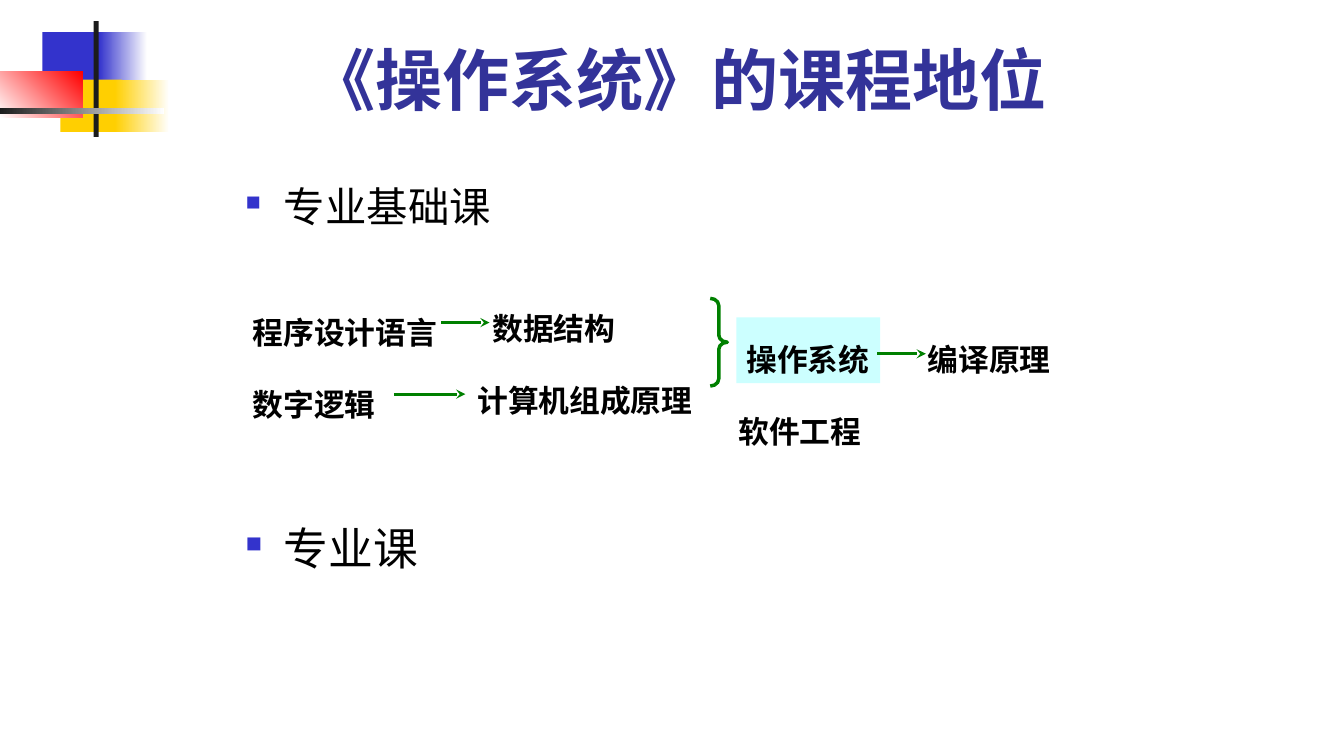
from lxml.etree import SubElement
from pptx import Presentation
from pptx.dml.color import RGBColor
from pptx.enum.shapes import MSO_CONNECTOR as Connector, MSO_SHAPE as Shape
from pptx.enum.text import MSO_ANCHOR as Anchor
from pptx.oxml.ns import qn
from pptx.util import Inches, Pt

FONT = "Roboto"
COLORS = {
    "blue": "3333CC", "title": "333399", "yellow": "FFCF01", "red": "FF0000",
    "white": "FFFFFF", "dark": "1C1C1C", "black": "000000",
    "green": "008000", "highlight": "CCFFFF",
}

# Lengths are percent of the slide: x and width of 13.34 in, y and height of 7.5 in
WIDTH, HEIGHT = 13.34, 7.5
BLOCK = 6.93           # height of the blue and yellow blocks
ROW_GAP = 9.47         # from the upper course row to the lower one
COURSE_HEIGHT = 8.67

# left, top, width, height, colours (two make a gradient), gradient angle
ORNAMENT = [
    (3.15, 4.27, 4.8, BLOCK, ["blue"], 0),
    (7.35, 4.27, 3.6, BLOCK, ["blue", "white"], 0),
    (4.5, 10.53, 4.57, BLOCK, ["yellow"], 0),
    (8.55, 10.53, 4.05, BLOCK, ["yellow", "white"], 0),
    (0, 9.47, 6.15, 6.13, ["white", "red"], 45),
    (6.97, 2.8, 0.37, 15.33, ["dark"], 0),
    (0, 14.27, 12.22, 0.8, ["dark", "white"], 0),
]
TITLE = "《操作系统》的课程地位"
TITLE_BOX = (22.19, 2.8, 63.87, 13.6)

# text, top, size, line spacing
HEADINGS = [("专业基础课", 20.67, 29.6, 1.4), ("专业课", 64.67, 32, 1.5)]

# text, left, top of the upper row, row, width
COURSES = [
    ("程序设计语言", 18.07, 38.4, 0, 16.72),
    ("数据结构", 35.91, 37.87, 0, 10.64),
    ("数字逻辑", 18.07, 38.4, 1, 11.99),
    ("计算机组成原理", 34.78, 37.87, 1, 18),
    ("操作系统", 54.8, 42, 0, 10.7),
    ("编译原理", 68.29, 42, 0, 10.7),
    ("软件工程", 54.2, 42, 1, 10.7),
]
HIGHLIGHTED = "操作系统"

# start x, end x, y
ARROWS = [
    (32.83, 36.43, 42.67),
    (29.31, 34.63, 42.67 + ROW_GAP),
    (65.29, 68.89, 46.8),
]
BRACE_BOX = (52.85, 39.47, 1.27, 11.6)


def across(share):
    return Inches(WIDTH * share / 100)


def down(share):
    return Inches(HEIGHT * share / 100)


def place(left, top, width, height):
    return across(left), down(top), across(width), down(height)


def rgb(name):
    return RGBColor.from_string(COLORS[name])


def add_block(slide, box, colors, angle=0):
    block = slide.shapes.add_shape(Shape.RECTANGLE, *place(*box))
    block.shadow.inherit = False
    block.line.fill.background()
    if len(colors) == 1:
        block.fill.solid()
        block.fill.fore_color.rgb = rgb(colors[0])
    else:
        block.fill.gradient()
        block.fill.gradient_angle = angle
        for stop, color in zip(block.fill.gradient_stops, colors):
            stop.color.rgb = rgb(color)


def add_bullet(paragraph):
    props = paragraph._p.get_or_add_pPr()
    indent = Inches(0.38)
    props.set("marL", str(indent))
    props.set("indent", str(-indent))
    color = SubElement(props, qn("a:buClr"))
    SubElement(color, qn("a:srgbClr"), val=COLORS["blue"])
    SubElement(props, qn("a:buSzPct"), val="50000")
    SubElement(props, qn("a:buChar"), char="■")


def add_text(slide, text, box, size, color="black", bold=False, spacing=1.0,
             wrap=True, anchor=Anchor.TOP, bullet=False):
    frame = slide.shapes.add_textbox(*place(*box)).text_frame
    frame.word_wrap = wrap
    frame.vertical_anchor = anchor
    paragraph = frame.paragraphs[0]
    if bullet:
        add_bullet(paragraph)
    paragraph.line_spacing = spacing
    run = paragraph.add_run()
    run.text = text
    run.font.name = FONT
    run.font.size = Pt(size)
    run.font.bold = bold
    run.font.color.rgb = rgb(color)
    SubElement(run._r.get_or_add_rPr(), qn("a:ea"), typeface=FONT)


def add_arrow(slide, start, end, y):
    arrow = slide.shapes.add_connector(
        Connector.STRAIGHT, across(start), down(y), across(end), down(y))
    arrow.line.color.rgb = rgb("green")
    arrow.line.width = Pt(2.25)
    SubElement(arrow.line._get_or_add_ln(), qn("a:tailEnd"), type="stealth")
    SubElement(arrow._element.spPr, qn("a:effectLst"))


def add_brace(slide, box):
    brace = slide.shapes.add_shape(Shape.RIGHT_BRACE, *place(*box))
    brace.shadow.inherit = False
    brace.fill.background()
    brace.line.color.rgb = rgb("green")
    brace.line.width = Pt(2.5)
    brace.adjustments[0] = 0.42


def main():
    deck = Presentation()
    deck.slide_width, deck.slide_height = Inches(WIDTH), Inches(HEIGHT)
    slide = deck.slides.add_slide(deck.slide_layouts[6])

    # Corner ornament and title
    for *box, colors, angle in ORNAMENT:
        add_block(slide, box, colors, angle)
    add_text(slide, TITLE, TITLE_BOX, 48, color="title", bold=True,
             anchor=Anchor.BOTTOM)

    # Headings
    for text, top, size, spacing in HEADINGS:
        add_text(slide, text, (17.54, top, 66.72, 10.53), size,
                 spacing=spacing, bullet=True)

    # Course map
    for text, left, top, row, width in COURSES:
        box = (left, top + row * ROW_GAP, width, COURSE_HEIGHT)
        if text == HIGHLIGHTED:
            add_block(slide, box, ["highlight"])
        add_text(slide, text, box, 22, bold=True, spacing=1.5, wrap=False)
    for start, end, y in ARROWS:
        add_arrow(slide, start, end, y)
    add_brace(slide, BRACE_BOX)

    deck.save("out.pptx")


if __name__ == "__main__":
    main()
